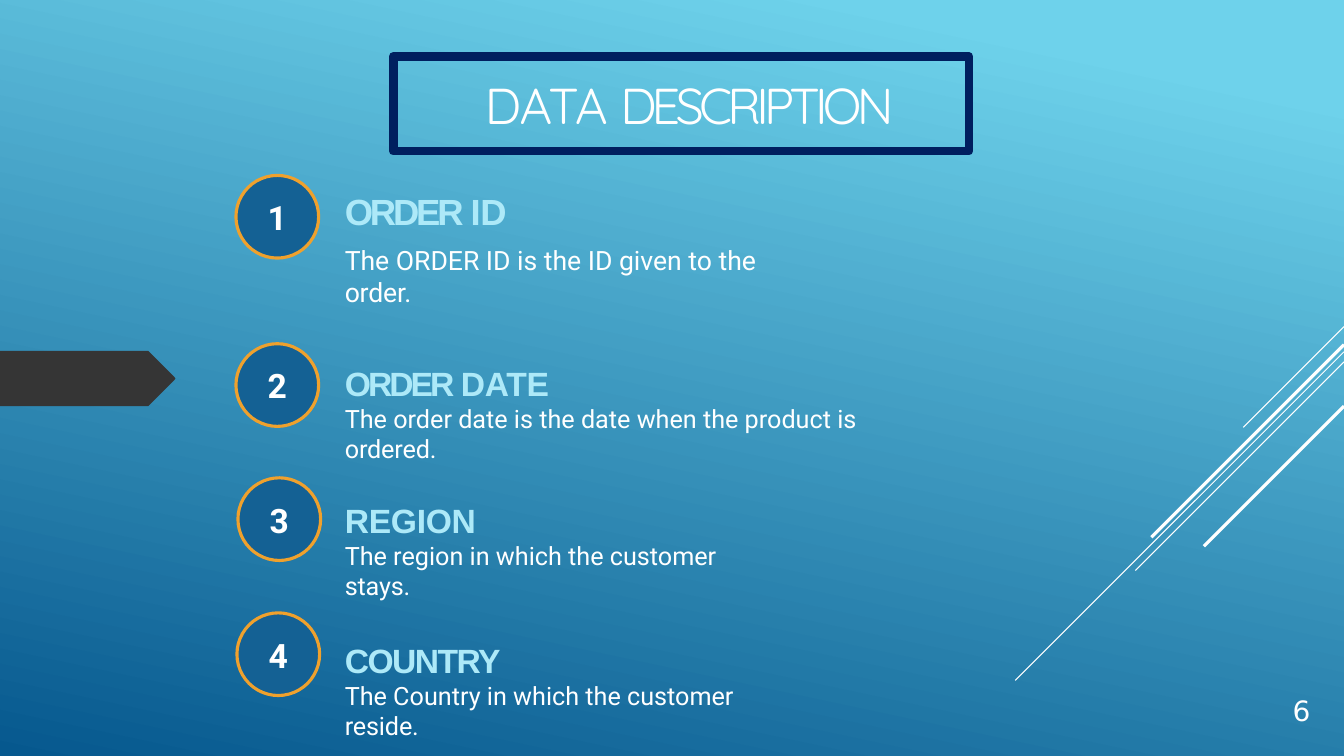
from lxml import etree
from pptx import Presentation
from pptx.dml.color import RGBColor
from pptx.enum.shapes import MSO_CONNECTOR, MSO_SHAPE
from pptx.enum.text import MSO_ANCHOR, PP_ALIGN
from pptx.oxml.ns import qn
from pptx.util import Inches, Pt

COLORS = {"sky": "6ED2EB", "deep": "06588E", "white": "FFFFFF", "tag": "353535",
          "disc": "146194", "ring": "EFA12D", "heading": "ADE9F8", "frame": "001F5F"}

# Content: runs are (text, letter spacing in points)
TITLE = [("DATA ", -0.9), ("DESCRIPTION", -3.4)]
PAGE_NUMBER = [("6", -1.1)]
FIELDS = [
    {"disc": (2.34, 1.74), "box": (3.42, 1.71, 4.94, 1.36), "inset": 0.17,
     "sizes": (26, 19), "before": (11.9, 7.9),
     "heading": [("ORDER ", -2.3), ("ID", -0.2)],
     "detail": [("The ORDER ID is the ID given to the ", 0), ("order.", -0.1)]},
    {"disc": (2.34, 3.41), "box": (3.42, 3.59, 6.18, 1.02),
     "heading": [("ORDER ", -2.1), ("DATE", -0.2)],
     "detail": [("The order date is the date when the product is ", 0), ("ordered.", -0.1)]},
    {"disc": (2.36, 4.74), "box": (3.42, 4.95, 4.47, 1.02),
     "heading": [("REGION", -0.2)],
     "detail": [("The region in which the customer ", 0), ("stays.", -0.1)]},
    {"disc": (2.35, 6.08), "box": (3.42, 6.34, 4.74, 1.02),
     "heading": [("COUNTRY", -1.1)],
     "detail": [("The Country in which the customer ", 0), ("reside.", -0.1)]},
]
# Diagonals run down-left at 45 degrees from the right edge: (top, run, width)
DIAGONALS = [(3.24, 1.0, 0.75), (3.49, 3.26, 0.75), (3.59, 2.07, 0.75),
             (3.42, 1.91, 2.25), (4.03, 1.39, 2.25)]
TAG_OUTLINE = [(0, 3.48), (1.47, 3.48), (1.73, 3.74), (1.74, 3.755),
               (1.73, 3.77), (1.48, 4.02), (1.47, 4.03), (0, 4.03)]
SLIDE_W, SLIDE_H = 13.33, 7.5
DISC_SIZE = 0.82


def rgb(name):
    return RGBColor.from_string(COLORS[name])


def add_runs(paragraph, runs, size, font, color, bold=False):
    for text, spacing in runs:
        run = paragraph.add_run()
        run.text = text
        run.font.size, run.font.name, run.font.bold = Pt(size), font, bold
        run.font.color.rgb = rgb(color)
        run._r.get_or_add_rPr().set("spc", str(round(spacing * 100)))


def set_frame(frame, top=0.01, right=0):
    frame.word_wrap = True
    frame.margin_left = frame.margin_bottom = 0
    frame.margin_top, frame.margin_right = Inches(top), Inches(right)


def add_text_box(box, **insets):
    frame = slide.shapes.add_textbox(*map(Inches, box)).text_frame
    set_frame(frame, **insets)
    return frame


prs = Presentation()
prs.slide_width, prs.slide_height = Inches(SLIDE_W), Inches(SLIDE_H)
slide = prs.slides.add_slide(prs.slide_layouts[5])

# Background
backdrop = slide.background.fill
backdrop.gradient()
backdrop.gradient_angle = 258
for stop, (name, position) in zip(backdrop.gradient_stops, [("sky", 0.1), ("deep", 1)]):
    stop.color.rgb, stop.position = rgb(name), position

# Diagonal lines
for top, length, width in DIAGONALS:
    diagonal = slide.shapes.add_connector(
        MSO_CONNECTOR.STRAIGHT, Inches(SLIDE_W), Inches(top),
        Inches(SLIDE_W - length), Inches(top + length))
    diagonal.line.color.rgb, diagonal.line.width = rgb("white"), Pt(width)
    etree.SubElement(diagonal._element.spPr, qn("a:effectLst"))

# Arrow tag at the left edge
outline = [(Inches(x), Inches(y)) for x, y in TAG_OUTLINE]
builder = slide.shapes.build_freeform(*outline[0])
builder.add_line_segments(outline[1:], close=True)
tag = builder.convert_to_shape()
tag.shadow.inherit = False
tag.fill.solid()
tag.fill.fore_color.rgb = rgb("tag")
tag.line.fill.background()

# Page number
page = add_text_box((12.82, 6.87, 0.3, 0.36)).paragraphs[0]
page.space_before = Pt(1)
add_runs(page, PAGE_NUMBER, 20, "DejaVu Sans", "white")

# Numbered fields
for number, field in enumerate(FIELDS, start=1):
    left, top = field["disc"]
    disc = slide.shapes.add_shape(MSO_SHAPE.OVAL, Inches(left), Inches(top),
                                  Inches(DISC_SIZE), Inches(DISC_SIZE))
    disc.shadow.inherit = False
    disc.fill.solid()
    disc.fill.fore_color.rgb = rgb("disc")
    disc.line.color.rgb, disc.line.width = rgb("ring"), Pt(2.25)
    set_frame(disc.text_frame)
    disc.text_frame.vertical_anchor = MSO_ANCHOR.MIDDLE
    digit = disc.text_frame.paragraphs[0]
    digit.alignment = PP_ALIGN.CENTER
    add_runs(digit, [(str(number), -0.5)], 24, "Roboto", "white", bold=True)

    frame = add_text_box(field["box"], top=field.get("inset", 0.01), right=0.3)
    heading, detail = frame.paragraphs[0], frame.add_paragraph()
    heading_size, detail_size = field.get("sizes", (24, 18))
    before_heading, before_detail = field.get("before", (1, 0))
    heading.space_before, detail.space_before = Pt(before_heading), Pt(before_detail)
    add_runs(heading, field["heading"], heading_size, "Arial", "heading", bold=True)
    add_runs(detail, field["detail"], detail_size, "Roboto", "white")

# Title and its frame
border = slide.shapes.add_shape(MSO_SHAPE.RECTANGLE, *map(Inches, (3.9, 0.56, 5.71, 0.94)))
border.shadow.inherit = False
border.fill.background()
border.line.color.rgb, border.line.width = rgb("frame"), Pt(6.25)
etree.SubElement(border.line._get_or_add_ln(), qn("a:round"))

title = slide.shapes.title
title.left, title.top, title.width, title.height = map(Inches, (2.3, 0.01, 9.33, 1.65))
set_frame(title.text_frame, top=0.41)
title.text_frame.vertical_anchor = MSO_ANCHOR.MIDDLE
title_line = title.text_frame.paragraphs[0]
title_line.alignment = PP_ALIGN.LEFT
title_line.space_before = Pt(1)
title_line._p.get_or_add_pPr().set("marL", str(Inches(2.51)))
add_runs(title_line, TITLE, 36, "Quicksand", "white")

prs.save("out.pptx")
